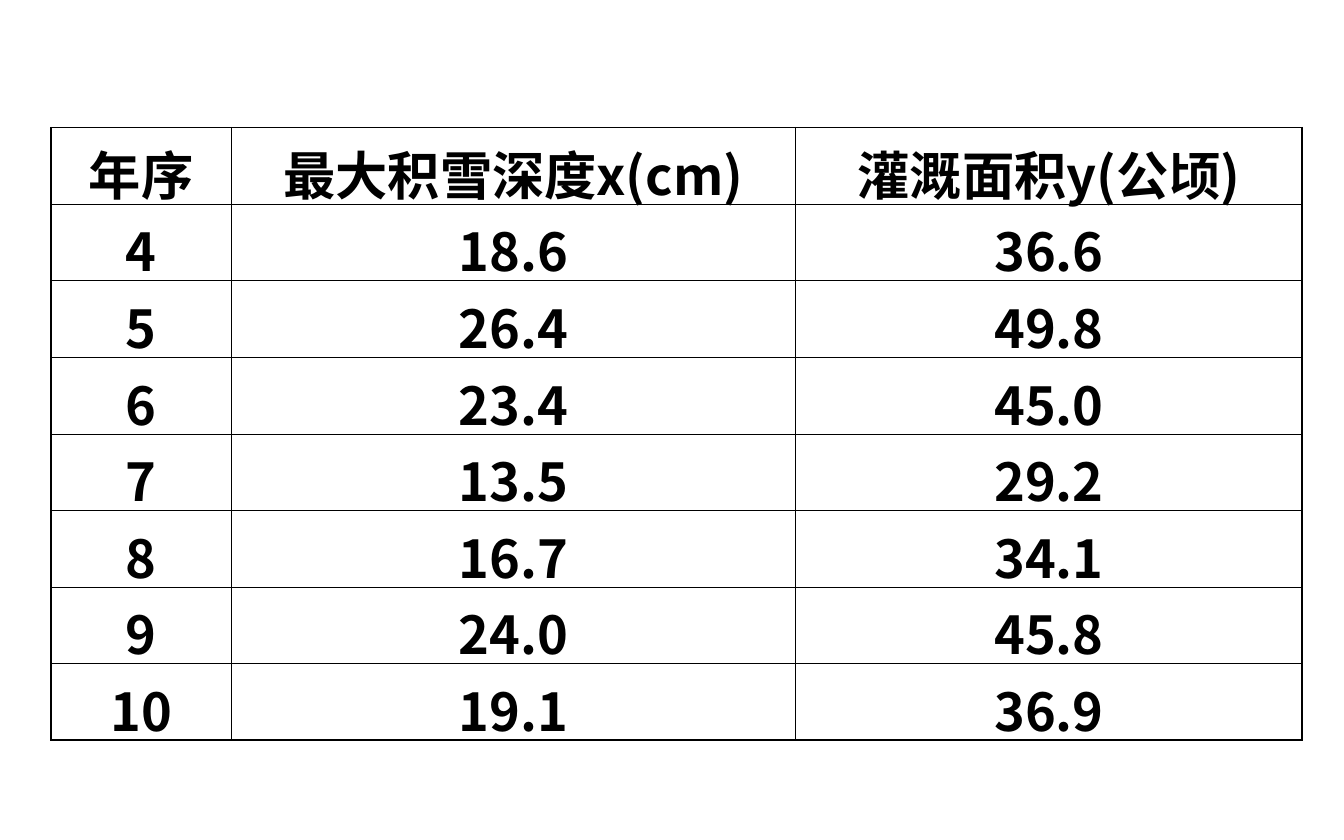
"""Build a slide with a table of snow depth and irrigated area by year."""
from lxml.etree import SubElement
from pptx import Presentation
from pptx.dml.color import RGBColor
from pptx.enum.text import MSO_ANCHOR, PP_ALIGN
from pptx.oxml.ns import qn
from pptx.util import Inches, Pt

ROWS = [
    ("年序", "最大积雪深度x(cm)", "灌溉面积y(公顷)"),
    ("4", "18.6", "36.6"),
    ("5", "26.4", "49.8"),
    ("6", "23.4", "45.0"),
    ("7", "13.5", "29.2"),
    ("8", "16.7", "34.1"),
    ("9", "24.0", "45.8"),
    ("10", "19.1", "36.9"),
]
COLUMN_WIDTHS = [1.34, 4.2, 3.77]
LEFT, TOP, ROW_HEIGHT = 0.38, 0.95, 0.57
TOP_MARGIN, BOTTOM_MARGIN = 0.05, -0.05
OUTER_LINE, INNER_LINE = Pt(0.96), Pt(0.45)
BLACK = RGBColor(0, 0, 0)
FONT = "Noto Sans CJK SC"


def write(cell, text, size=28, bold=True, color=BLACK):
    para = cell.text_frame.paragraphs[0]
    para.alignment = PP_ALIGN.CENTER
    span = para.add_run()
    span.text = text
    span.font.size = Pt(size)
    span.font.bold = bold
    span.font.color.rgb = color
    span.font.name = FONT
    SubElement(span.font._element, qn("a:ea"), typeface=FONT)


def draw_borders(cell, widths):
    properties = cell._tc.get_or_add_tcPr()
    for side, width in widths.items():
        line = SubElement(properties, qn(f"a:ln{side}"), w=str(width))
        fill = SubElement(line, qn("a:solidFill"))
        SubElement(fill, qn("a:srgbClr"), val=str(BLACK))


def main():
    deck = Presentation()
    deck.slide_width, deck.slide_height = Inches(10), Inches(6.25)
    page = deck.slides.add_slide(deck.slide_layouts[6])
    table = page.shapes.add_table(
        len(ROWS), len(COLUMN_WIDTHS), Inches(LEFT), Inches(TOP),
        Inches(sum(COLUMN_WIDTHS)), Inches(ROW_HEIGHT * len(ROWS)),
    ).table
    table.first_row = table.horz_banding = False
    for column, width in zip(table.columns, COLUMN_WIDTHS):
        column.width = Inches(width)
    last_row, last_column = len(ROWS) - 1, len(COLUMN_WIDTHS) - 1
    for i, values in enumerate(ROWS):
        table.rows[i].height = Inches(ROW_HEIGHT)
        for j, text in enumerate(values):
            cell = table.cell(i, j)
            cell.vertical_anchor = MSO_ANCHOR.MIDDLE
            cell.margin_top = Inches(TOP_MARGIN)
            cell.margin_bottom = Inches(BOTTOM_MARGIN)
            write(cell, text)
            edges = {"L": j == 0, "R": j == last_column, "T": i == 0, "B": i == last_row}
            draw_borders(cell, {side: OUTER_LINE if outer else INNER_LINE
                                for side, outer in edges.items()})
            cell.fill.background()
    deck.save("out.pptx")


if __name__ == "__main__":
    main()
